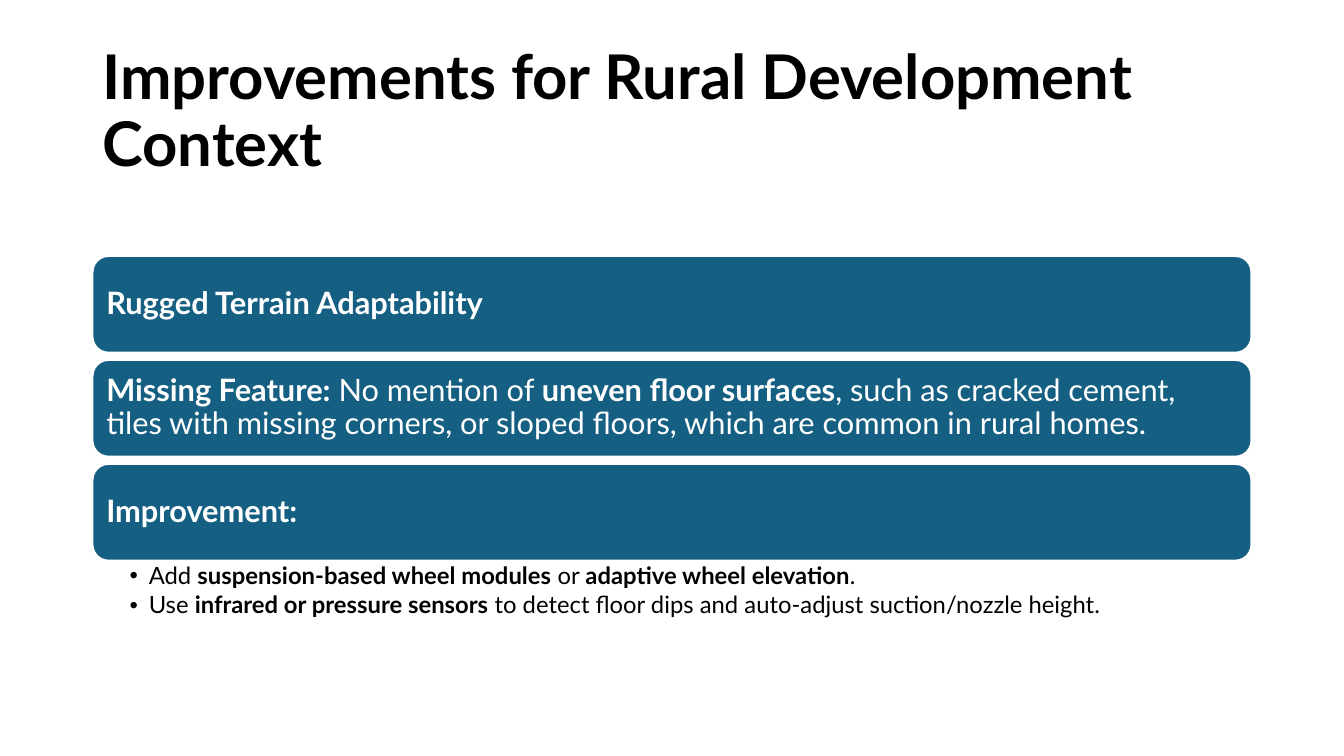
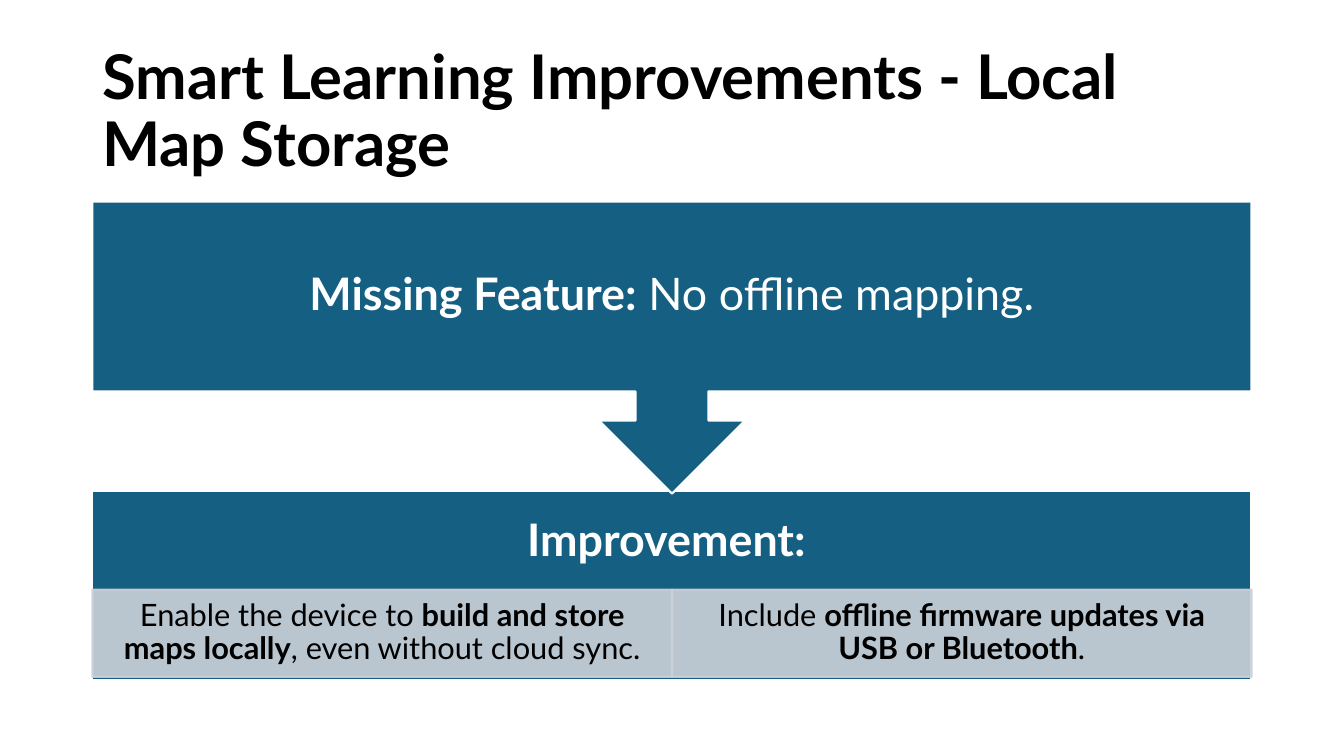
from dataclasses import dataclass

from lxml.etree import SubElement
from pptx import Presentation
from pptx.dml.color import RGBColor
from pptx.enum.shapes import MSO_SHAPE as Preset
from pptx.enum.text import MSO_ANCHOR as Anchor, MSO_AUTO_SIZE as AutoSize, PP_ALIGN as Align
from pptx.oxml.ns import qn
from pptx.util import Cm, Pt

COLORS = {"ink": "000000", "paper": "FFFFFF", "teal": "156082", "mist": "CCD2D8"}
FONT = "Lato"
LEFT, WIDTH = 2.33, 29.21


@dataclass(frozen=True)
class Span:
    text: str
    bold: bool = False


@dataclass(frozen=True)
class Area:
    left: float
    top: float
    width: float
    height: float

    def lengths(self) -> tuple:
        return Cm(self.left), Cm(self.top), Cm(self.width), Cm(self.height)


@dataclass(frozen=True)
class Style:
    size: int
    color: str
    align: Align = Align.LEFT
    margins: tuple = (0.25, 0.13, 0.25, 0.13)
    anchor: Anchor = Anchor.MIDDLE
    bullet: bool = False


@dataclass(frozen=True)
class Block:
    preset: Preset
    area: Area
    spans: tuple
    style: Style
    fill: str = "teal"
    line: str = "paper"
    opacity: int = 100


TITLE = Style(44, "ink")
ROW = Style(22, "paper", margins=(0.23,) * 4)
BULLETS = Style(17, "ink", margins=(0.94, 0.08, 0.43, 0.08), anchor=Anchor.TOP, bullet=True)
BANNER = Style(32, "paper", Align.CENTER, (0.64,) * 4)
PANEL = Style(32, "paper", Align.CENTER, (0.64, 0.64, 0.64, 2.82))
CELL = Style(22, "ink", Align.CENTER, (0.43, 0.08, 0.43, 0.08))


def rgb(name: str) -> RGBColor:
    return RGBColor.from_string(COLORS[name])


def add_bullet(para) -> None:
    properties = para._p.get_or_add_pPr()
    properties.set("marL", str(Cm(0.48)))
    properties.set("indent", str(-Cm(0.48)))
    SubElement(properties, qn("a:buFont"), typeface="Arial")
    SubElement(properties, qn("a:buChar"), char="•")


def write(frame, lines: tuple, style: Style) -> None:
    frame.word_wrap = True
    frame.auto_size = AutoSize.NONE
    frame.vertical_anchor = style.anchor
    frame.margin_left, frame.margin_top, frame.margin_right, frame.margin_bottom = map(Cm, style.margins)
    for index, spans in enumerate(lines):
        para = frame.add_paragraph() if index else frame.paragraphs[0]
        para.alignment = style.align
        para.line_spacing = 0.9
        if style.bullet:
            para.space_after = Pt(3)
            add_bullet(para)
        para.font.name = FONT
        para.font.size = Pt(style.size)
        para.font.color.rgb = rgb(style.color)
        for span in spans:
            run = para.add_run()
            run.text = span.text
            run.font.bold = span.bold


def add_titled_page(deck, title: str):
    page = deck.slides.add_slide(deck.slide_layouts[5])
    box = page.shapes.title
    box.left, box.top, box.width, box.height = Area(LEFT, 1.01, WIDTH, 3.68).lengths()
    write(box.text_frame, ((Span(title, True),),), TITLE)
    return page


def add_block(page, block: Block) -> None:
    shape = page.shapes.add_shape(block.preset, *block.area.lengths())
    shape.shadow.inherit = False
    shape.fill.solid()
    shape.fill.fore_color.rgb = rgb(block.fill)
    shape.line.color.rgb = rgb(block.line)
    shape.line.width = Pt(1.5)
    if block.opacity < 100:
        for color in shape._element.spPr.iter(qn("a:srgbClr")):
            SubElement(color, qn("a:alpha"), val=str(block.opacity * 1000))
    write(shape.text_frame, (block.spans,), block.style)


def add_terrain_page(deck) -> None:
    page = add_titled_page(deck, "Improvements for Rural Development Context")
    rows = (
        (Span("Rugged Terrain Adaptability", True),),
        (
            Span("Missing Feature:", True),
            Span(" No mention of "),
            Span("uneven floor surfaces", True),
            Span(", such as cracked cement, tiles with missing corners, or sloped floors, "
                 "which are common in rural homes."),
        ),
        (Span("Improvement:", True),),
    )
    top, height, gap = 6.45, 2.44, 0.18
    for index, spans in enumerate(rows):
        area = Area(LEFT, top + index * (height + gap), WIDTH, height)
        add_block(page, Block(Preset.ROUNDED_RECTANGLE, area, spans, ROW))
    bullets = (
        (
            Span("Add "),
            Span("suspension-based wheel modules", True),
            Span(" or "),
            Span("adaptive wheel elevation", True),
            Span("."),
        ),
        (
            Span("Use "),
            Span("infrared or pressure sensors", True),
            Span(" to detect floor dips and auto-adjust suction/nozzle height."),
        ),
    )
    box = page.shapes.add_textbox(*Area(LEFT, 14.12, WIDTH, 1.65).lengths())
    write(box.text_frame, bullets, BULLETS)


def add_mapping_page(deck) -> None:
    page = add_titled_page(deck, "Smart Learning Improvements - Local Map Storage")
    add_block(page, Block(Preset.RECTANGLE, Area(LEFT, 12.37, WIDTH, 4.78),
                          (Span("Improvement: ", True),), PANEL))
    cells = (
        (
            Span("Enable the device to "),
            Span("build and store maps locally", True),
            Span(", even without cloud sync."),
        ),
        (
            Span("Include "),
            Span("offline firmware updates via USB or Bluetooth", True),
            Span("."),
        ),
    )
    cell_width = WIDTH / len(cells)
    for index, spans in enumerate(cells):
        area = Area(LEFT + index * cell_width, 14.86, cell_width, 2.2)
        add_block(page, Block(Preset.RECTANGLE, area, spans, CELL, "mist", "mist", 90))
    add_block(page, Block(Preset.DOWN_ARROW_CALLOUT, Area(LEFT, 5.08, WIDTH, 7.36),
                          (Span("Missing Feature:", True), Span(" No offline mapping.")), BANNER))


def main() -> None:
    deck = Presentation()
    deck.slide_width, deck.slide_height = Cm(33.87), Cm(19.05)
    add_terrain_page(deck)
    add_mapping_page(deck)
    deck.save("out.pptx")


if __name__ == "__main__":
    main()
